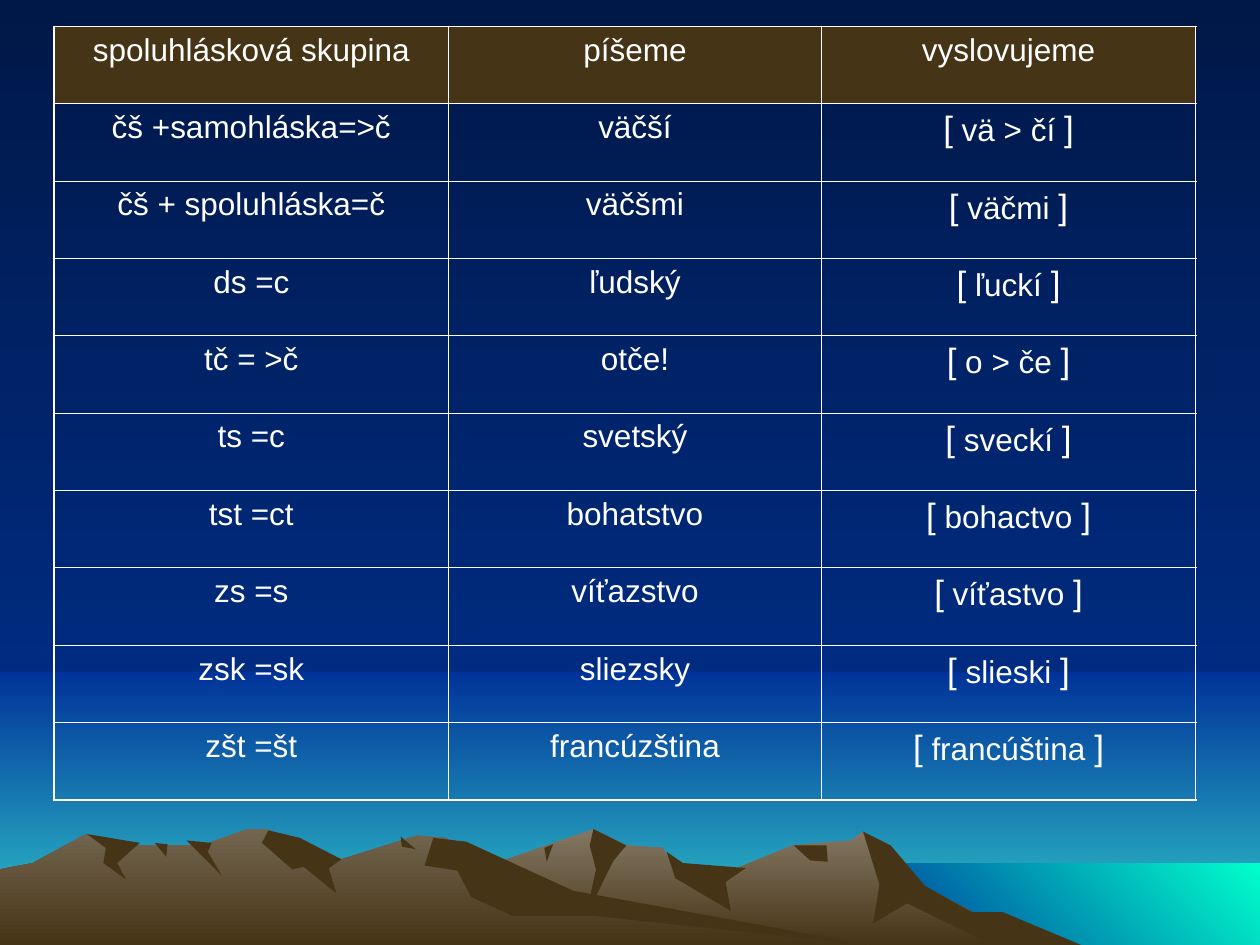
from dataclasses import dataclass

from lxml.etree import SubElement
from pptx import Presentation
from pptx.dml.color import RGBColor
from pptx.enum.shapes import MSO_SHAPE
from pptx.enum.text import PP_ALIGN
from pptx.oxml.ns import qn
from pptx.util import Inches, Pt


@dataclass(frozen=True)
class Theme:
    font: str = "Arial"
    text_size: int = 18
    bracket_size: int = 20
    text: str = "FFFFFF"
    header: str = "463416"
    night: tuple = ("001847", "003399")
    horizon: tuple = ("003399", "33CCCC")
    sea: tuple = ("003399", "00FFCC")
    far_slope: tuple = ("847864", "463416")
    near_slope: tuple = ("73654F", "463416")
    shade: tuple = ("463416",)
    outer_line: float = 1.08
    inner_line: float = 0.45


T = Theme()
DOWN, UP_RIGHT = 270, 45


def paint(fill, colours, angle=DOWN):
    """Fill with one solid colour, or with a gradient of two."""
    if len(colours) == 1:
        fill.solid()
        fill.fore_color.rgb = RGBColor.from_string(colours[0])
        return
    fill.gradient()
    fill.gradient_angle = angle
    for stop, colour in zip(fill.gradient_stops, colours):
        stop.color.rgb = RGBColor.from_string(colour)


def add_border(cell, side, width):
    ln = SubElement(cell._tc.get_or_add_tcPr(), qn(f"a:ln{side}"), w=str(Pt(width)))
    SubElement(SubElement(ln, qn("a:solidFill")), qn("a:srgbClr"), val=T.text)


prs = Presentation()
prs.slide_width, prs.slide_height = Inches(10), Inches(7.5)
s = prs.slides.add_slide(prs.slide_layouts[6])
paint(s.background.fill, T.night)

# Lower sky and sea, each running to the bottom right corner of the slide
for left, top, colours, angle in [(0, 5.33, T.horizon, DOWN),
                                  (6.83, 6.85, T.sea, UP_RIGHT)]:
    sp = s.shapes.add_shape(MSO_SHAPE.RECTANGLE, Inches(left), Inches(top),
                            Inches(10 - left), Inches(7.5 - top))
    sp.shadow.inherit = False
    sp.line.fill.background()
    paint(sp.fill, colours, angle)

# Mountains from back to front, outlines in hundredths of an inch
mountains = [
    # right range and its shaded faces
    (T.far_slope, [(821, 750), (723, 698), (685, 660), (676, 667), (629, 671),
                   (566, 697), (536, 690), (526, 673), (497, 671), (471, 658),
                   (394, 685), (327, 709), (258, 750)]),
    (T.shade, [(771, 724), (734, 703), (707, 671), (685, 660), (698, 702),
               (693, 733), (720, 717), (788, 750), (858, 750), (796, 724)]),
    (T.shade, [(471, 658), (468, 671), (473, 690), (465, 727), (487, 683), (497, 671)]),
    (T.shade, [(529, 676), (536, 697), (580, 723), (576, 700), (592, 689), (542, 685)]),
    (T.shade, [(630, 671), (643, 683), (657, 684), (656, 671)]),
    (T.shade, [(432, 673), (439, 670), (434, 684)]),
    # left range and its shaded faces
    (T.near_slope, [(690, 750), (432, 712), (354, 665), (331, 663), (271, 682),
                    (223, 663), (212, 658), (196, 658), (160, 671), (94, 671),
                    (68, 662), (26, 685), (0, 690), (0, 750)]),
    (T.shade, [(213, 659), (208, 669), (232, 690), (241, 688), (267, 709),
               (261, 689), (271, 682), (238, 665)]),
    (T.shade, [(370, 668), (344, 665), (337, 687), (363, 691), (374, 712),
               (407, 727), (472, 727), (690, 750), (455, 707)]),
    (T.shade, [(318, 664), (330, 674), (319, 672)]),
    (T.shade, [(148, 667), (168, 669), (165, 676), (176, 695)]),
    (T.shade, [(123, 669), (133, 670), (132, 680)]),
    (T.shade, [(69, 662), (111, 669), (93, 685), (100, 698), (82, 685), (84, 673)]),
]
for colours, (start, *points) in mountains:
    outline = s.shapes.build_freeform(*start, scale=Inches(0.01))
    outline.add_line_segments(points, close=True)
    sp = outline.convert_to_shape()
    sp.shadow.inherit = False
    sp.line.fill.background()
    paint(sp.fill, colours)

rows = [
    ("spoluhlásková skupina", "píšeme", "vyslovujeme"),
    ("čš +samohláska=>č", "väčší", "vä > čí"),
    ("čš + spoluhláska=č", "väčšmi", "väčmi"),
    ("ds =c", "ľudský", "ľuckí"),
    ("tč = >č", "otče!", "o > če"),
    ("ts =c", "svetský", "sveckí"),
    ("tst =ct", "bohatstvo", "bohactvo"),
    ("zs =s", "víťazstvo", "víťastvo"),
    ("zsk =sk", "sliezsky", "slieski"),
    ("zšt =št", "francúzština", "francúština"),
]
col_widths = (3.13, 2.96, 2.97)
last_row, last_col = len(rows) - 1, len(col_widths) - 1

table = s.shapes.add_table(len(rows), len(col_widths), Inches(0.43), Inches(0.21),
                           Inches(sum(col_widths)), Inches(6.14)).table
table.first_row = table.horz_banding = False
for column, width in zip(table.columns, col_widths):
    column.width = Inches(width)

for i, row in enumerate(rows):
    for j, text in enumerate(row):
        cell = table.cell(i, j)
        on_edge = {"L": j == 0, "R": j == last_col, "T": i == 0, "B": i == last_row}
        for side, outer in on_edge.items():
            add_border(cell, side, T.outer_line if outer else T.inner_line)
        if i == 0:
            paint(cell.fill, (T.header,))
        else:
            cell.fill.background()

        p = cell.text_frame.paragraphs[0]
        p.alignment = PP_ALIGN.CENTER
        p.font.name = T.font
        p.font.size = Pt(T.text_size)
        p.font.color.rgb = RGBColor.from_string(T.text)
        pronounced = i > 0 and j == last_col
        for part in ("[", f" {text} ", "]") if pronounced else (text,):
            r = p.add_run()
            r.text = part
            if part in ("[", "]"):
                r.font.size = Pt(T.bracket_size)

prs.save("out.pptx")
